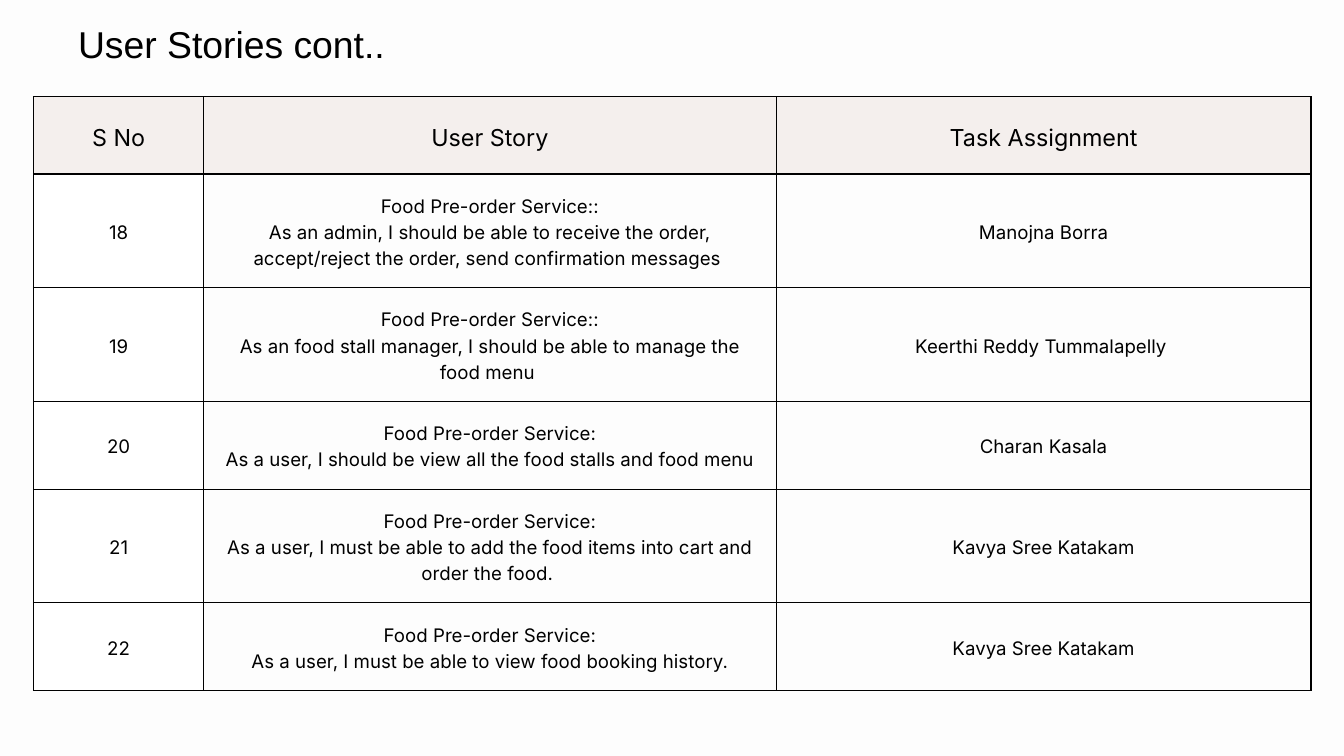
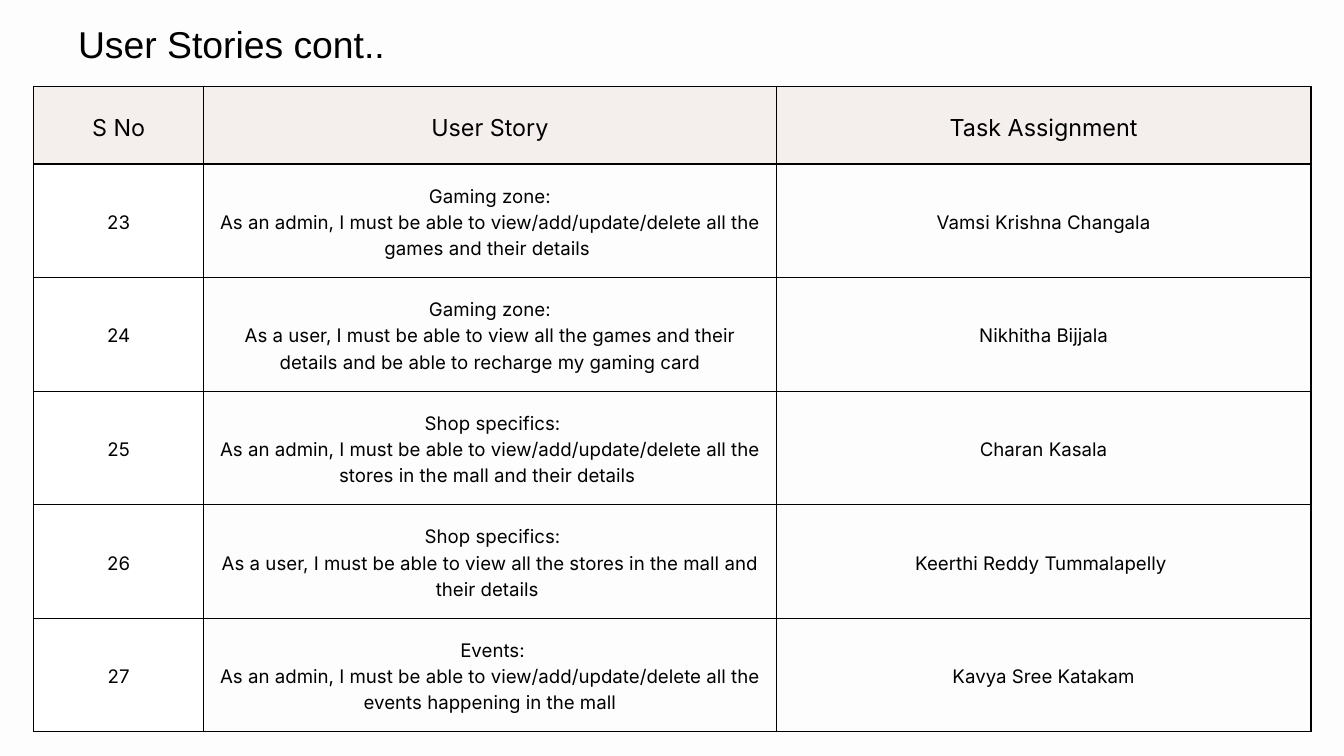
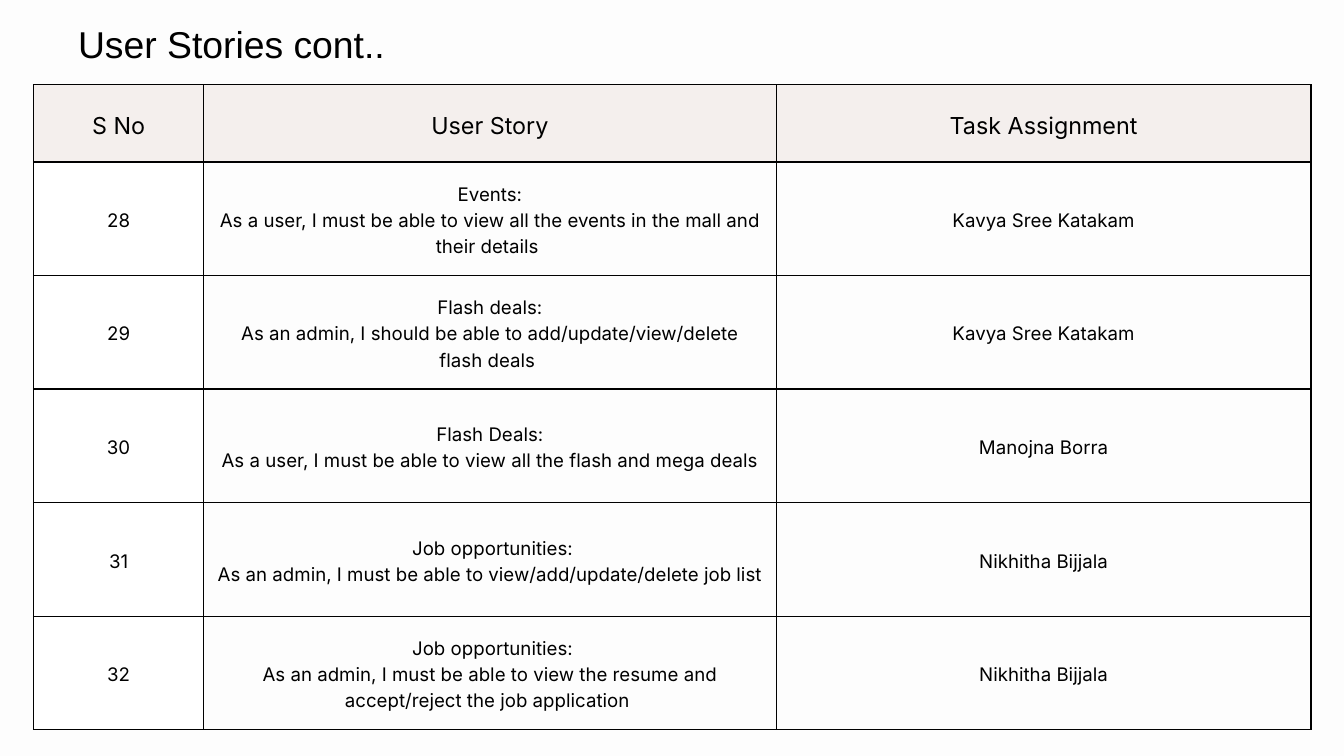
import lxml.etree
import pptx
import pptx.dml.color
import pptx.enum.text
import pptx.oxml.ns
import pptx.util

Pt = pptx.util.Pt

COLORS = {
    "background": "FDFDFD",
    "header": "F4EFED",
    "number": "FFFFFF",
    "ink": "000000",
}
TITLE = "User Stories cont.."
HEADERS = ("S No", "User Story", "Task Assignment")
COLUMN_WIDTHS = (182.2, 613.4, 573.1)
HEADER_HEIGHT, TALL_ROW, SHORT_ROW = 82.8, 121.7, 94.3

# Each slide: table top, first story number, and (topic, story, assignee, row height)
STORY_SLIDES = [
    (103.7, 18, [
        ("Food Pre-order Service::",
         "As an admin, I should be able to receive the order, accept/reject the order, "
         "send confirmation messages ", "Manojna Borra", TALL_ROW),
        ("Food Pre-order Service::",
         "As an food stall manager, I should be able to manage the food menu ",
         "Keerthi Reddy Tummalapelly ", TALL_ROW),
        ("Food Pre-order Service:",
         "As a user, I should be view all the food stalls and food menu",
         "Charan Kasala", SHORT_ROW),
        ("Food Pre-order Service:",
         "As a user, I must be able to add the food items into cart and order the food. ",
         "Kavya Sree Katakam", TALL_ROW),
        ("Food Pre-order Service:",
         "As a user, I must be able to view food booking history.",
         "Kavya Sree Katakam", SHORT_ROW),
    ]),
    (92.9, 23, [
        ("Gaming zone:",
         "As an admin, I must be able to view/add/update/delete all the games and their details ",
         "Vamsi Krishna Changala", TALL_ROW),
        ("Gaming zone:",
         "As a user, I must be able to view all the games and their details and be able "
         "to recharge my gaming card", "Nikhitha Bijjala", TALL_ROW),
        (" Shop specifics:",
         "As an admin, I must be able to view/add/update/delete all the stores in the mall "
         "and their details ", "Charan Kasala", TALL_ROW),
        (" Shop specifics:",
         "As a user, I must be able to view all the stores in the mall and their details ",
         "Keerthi Reddy Tummalapelly ", TALL_ROW),
        (" Events:",
         "As an admin, I must be able to view/add/update/delete all the events happening "
         "in the mall", "Kavya Sree Katakam", TALL_ROW),
    ]),
    (90.7, 28, [
        ("Events:",
         "As a user, I must be able to view all the events in the mall and their details ",
         "Kavya Sree Katakam", TALL_ROW),
        ("Flash deals:",
         "As an admin, I should be able to add/update/view/delete flash deals ",
         "Kavya Sree Katakam", TALL_ROW),
        ("Flash Deals:",
         "As a user, I must be able to view all the flash and mega deals",
         "Manojna Borra", TALL_ROW),
        (" Job opportunities:",
         "As an admin, I must be able to view/add/update/delete job list",
         "Nikhitha Bijjala", TALL_ROW),
        (" Job opportunities:",
         "As an admin, I must be able to view the resume and accept/reject the job application ",
         "Nikhitha Bijjala", TALL_ROW),
    ]),
]


class StoryDeck:
    """Holds the presentation, its style and the current slide."""

    def __init__(self):
        self.presentation = pptx.Presentation()
        self.presentation.slide_width = Pt(1440)
        self.presentation.slide_height = Pt(810)
        self.slide = None

    def color(self, name):
        return pptx.dml.color.RGBColor.from_string(COLORS[name])

    def add_slide(self):
        self.slide = self.presentation.slides.add_slide(self.presentation.slide_layouts[6])
        fill = self.slide.background.fill
        fill.solid()
        fill.fore_color.rgb = self.color("background")

    def set_text(self, text_frame, lines, font_name, size, spacing):
        text_frame.text = "\n".join(lines)
        text_frame.word_wrap = True
        for paragraph in text_frame.paragraphs:
            paragraph.alignment = pptx.enum.text.PP_ALIGN.CENTER
            paragraph.line_spacing = Pt(spacing)
            paragraph.font.name = font_name
            paragraph.font.size = Pt(size)
            paragraph.font.color.rgb = self.color("ink")

    def add_title(self, text):
        shape = self.slide.shapes.add_textbox(Pt(15.8), Pt(15.1), Pt(464.4), Pt(53.3))
        frame = shape.text_frame
        frame.margin_left = frame.margin_right = frame.margin_top = frame.margin_bottom = 0
        self.set_text(frame, [text], "Arial", 40, 56)
        frame.auto_size = pptx.enum.text.MSO_AUTO_SIZE.SHAPE_TO_FIT_TEXT

    def add_borders(self, cell):
        properties = cell._tc.get_or_add_tcPr()
        qn = pptx.oxml.ns.qn
        for side in ("a:lnL", "a:lnR", "a:lnT", "a:lnB"):
            line = lxml.etree.SubElement(properties, qn(side), w=str(Pt(1.5)))
            fill = lxml.etree.SubElement(line, qn("a:solidFill"))
            lxml.etree.SubElement(fill, qn("a:srgbClr"), val=COLORS["ink"])

    def fill_cell(self, cell, lines, fill_name, size, spacing):
        self.add_borders(cell)
        cell.fill.solid()
        cell.fill.fore_color.rgb = self.color(fill_name)
        cell.vertical_anchor = pptx.enum.text.MSO_ANCHOR.MIDDLE
        cell.margin_left = cell.margin_right = cell.margin_top = cell.margin_bottom = Pt(15)
        self.set_text(cell.text_frame, lines, "Inter", size, spacing)

    def add_story_table(self, top, first_number, stories):
        heights = [HEADER_HEIGHT] + [story[-1] for story in stories]
        table = self.slide.shapes.add_table(
            len(heights), len(HEADERS), Pt(36), Pt(top),
            Pt(sum(COLUMN_WIDTHS)), Pt(sum(heights))).table
        table.first_row = table.horz_banding = False
        for column, width in zip(table.columns, COLUMN_WIDTHS):
            column.width = Pt(width)
        for row, height in zip(table.rows, heights):
            row.height = Pt(height)

        # Header row
        for column_index, header in enumerate(HEADERS):
            self.fill_cell(table.cell(0, column_index), [header], "header", 25, 35)

        # Story rows
        for row_index, (topic, story, assignee, _) in enumerate(stories, start=1):
            number = str(first_number + row_index - 1)
            contents = ([number], [topic, story], [assignee])
            for column_index, lines in enumerate(contents):
                fill_name = "background" if column_index else "number"
                self.fill_cell(table.cell(row_index, column_index), lines, fill_name, 20, 28)


def main():
    deck = StoryDeck()
    for top, first_number, stories in STORY_SLIDES:
        deck.add_slide()
        deck.add_story_table(top, first_number, stories)
        deck.add_title(TITLE)
    deck.presentation.save("out.pptx")


if __name__ == "__main__":
    main()
